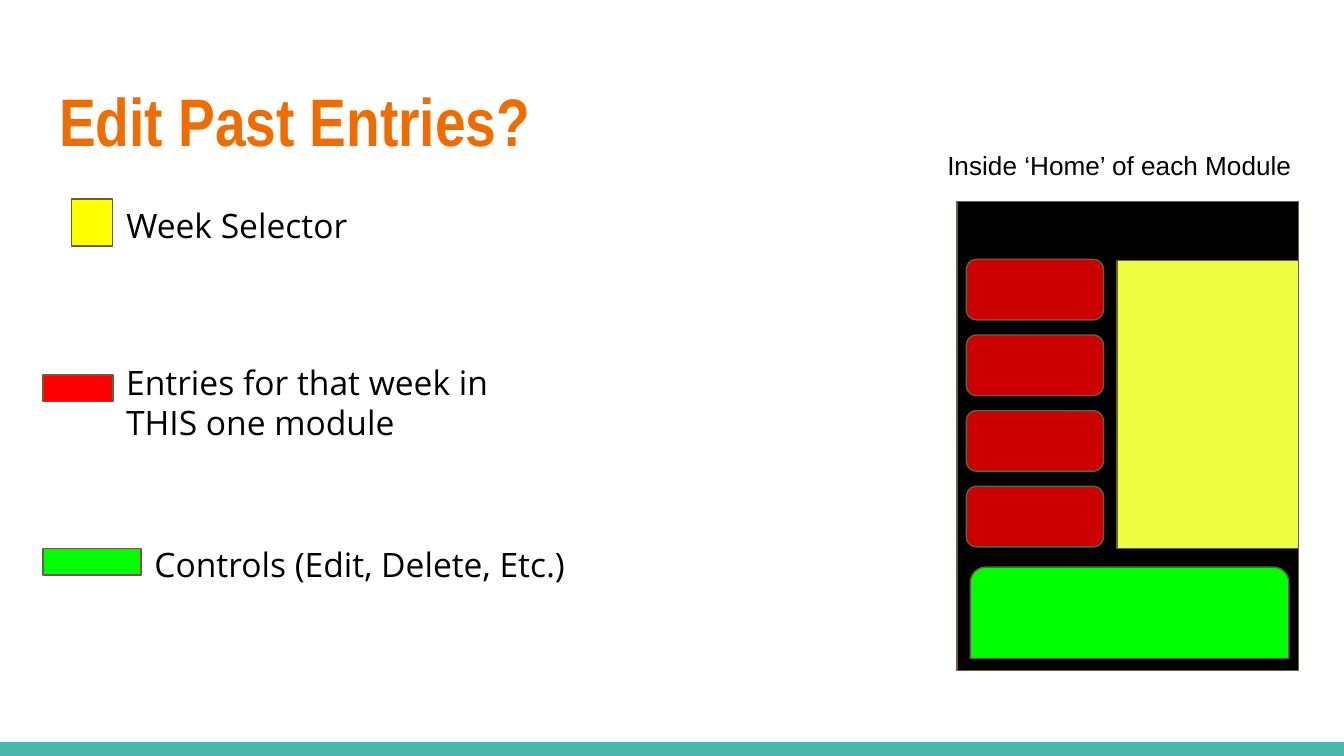
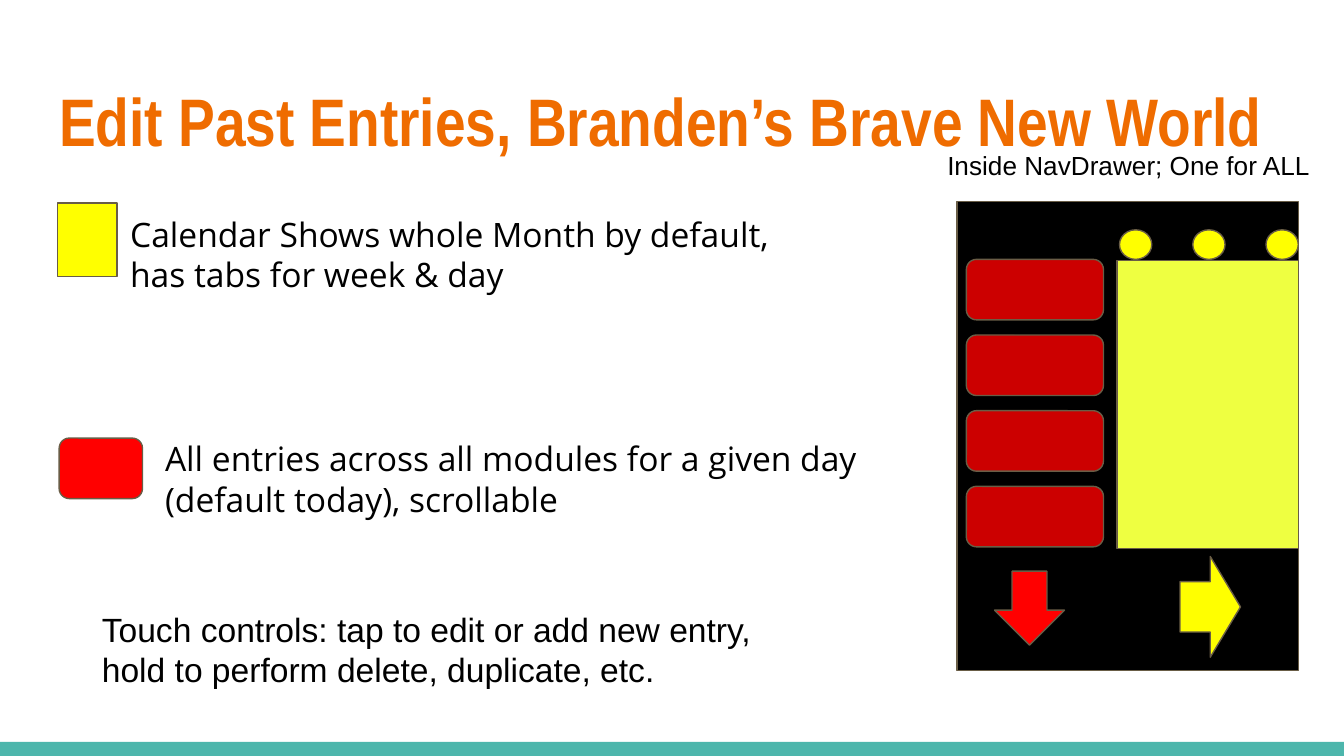
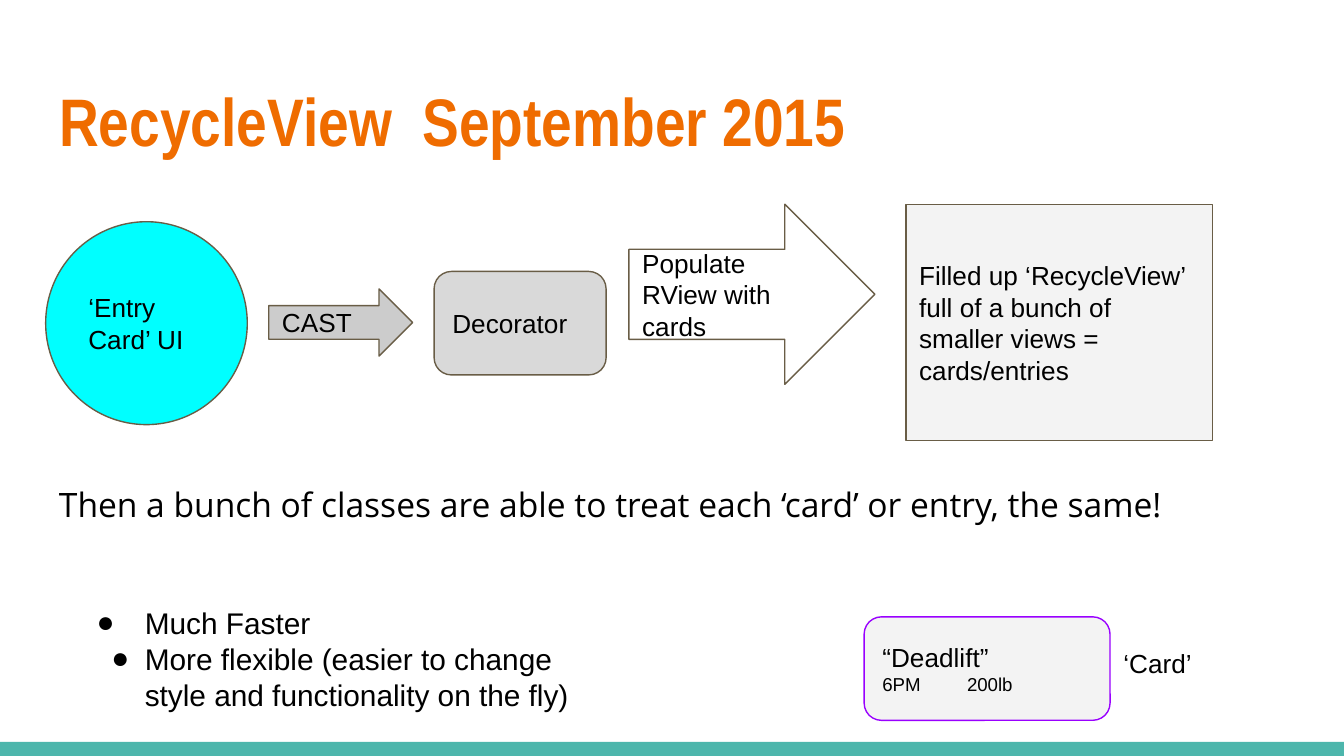
"""Build three slides on editing past entries and the RecycleView."""

from dataclasses import dataclass
from typing import Optional

import lxml.etree
import pptx
import pptx.dml.color
import pptx.enum.shapes
import pptx.enum.text
import pptx.oxml.ns
import pptx.presentation
import pptx.shapes.autoshape
import pptx.slide
import pptx.text.text
import pptx.util

MSO = pptx.enum.shapes.MSO_SHAPE
ANCHOR = pptx.enum.text.MSO_ANCHOR
COLUMNS, ROWS = 100, 56.25
CELL = 0.1


@dataclass(frozen=True)
class Theme:
    """Colours, fonts and type sizes of the deck."""

    title: str = "EF6C00"
    band: str = "4DB6AC"
    ink: str = "000000"
    outline: str = "695D46"
    card_outline: str = "9900FF"
    screen: str = "000000"
    calendar: str = "EEFF41"
    entry: str = "CC0000"
    yellow: str = "FFFF00"
    red: str = "FF0000"
    green: str = "00FF00"
    cyan: str = "00FFFF"
    white: str = "FFFFFF"
    pale: str = "F3F3F3"
    light: str = "D9D9D9"
    grey: str = "CCCCCC"
    title_font: str = "Arial Narrow"
    body_font: str = "Open Sans"
    font: str = "Arial"
    title_size: int = 36
    body_size: int = 18
    list_size: int = 16
    size: int = 14
    small_size: int = 10
    line_width: float = 0.75


T = Theme()


@dataclass(frozen=True)
class Area:
    """A rectangle in grid columns and rows."""

    x: float
    y: float
    w: float
    h: float


@dataclass(frozen=True)
class Box:
    """A filled preset shape with optional text."""

    kind: MSO
    area: Area
    fill: str
    text: str = ""
    line: Optional[str] = T.outline
    rotation: float = 0


@dataclass(frozen=True)
class Label:
    """A free text box."""

    area: Area
    text: str
    font: str = T.body_font
    size: float = T.body_size


TITLE = Area(3.4, 4.9, 93.2, 7.7)
BODY = Area(3.4, 13.8, 93.2, 36.1)
BAND = Area(0, 55.2, COLUMNS, 1.05)
CAPTION = Area(69.5, 10.1, 32, 5.5)


def grid(n: float) -> pptx.util.Length:
    """Turn a number of grid cells into a length."""
    return pptx.util.Inches(n * CELL)


def rgb(color: str) -> pptx.dml.color.RGBColor:
    """Turn a hex string into a colour."""
    return pptx.dml.color.RGBColor.from_string(color)


def frame(tf: pptx.text.text.TextFrame, anchor: ANCHOR = ANCHOR.TOP) -> None:
    """Give a text frame the shared margins, wrapping and anchor."""
    tf.margin_left = tf.margin_right = tf.margin_top = tf.margin_bottom = grid(1)
    tf.auto_size = pptx.enum.text.MSO_AUTO_SIZE.NONE
    tf.word_wrap = True
    tf.vertical_anchor = anchor


def write(tf: pptx.text.text.TextFrame, text: str, *, font: str = T.font,
          size: float = T.size, color: str = T.ink, bold: bool = False,
          spacing: float = 1, after: float = 0) -> pptx.text.text._Paragraph:
    """Add one formatted paragraph to a text frame."""
    p = tf.add_paragraph() if tf.paragraphs[0].runs else tf.paragraphs[0]
    p.alignment = pptx.enum.text.PP_ALIGN.LEFT
    p.line_spacing = spacing
    p.space_before, p.space_after = pptx.util.Pt(0), pptx.util.Pt(after)
    r = p.add_run()
    r.text = text
    r.font.name, r.font.size, r.font.bold = font, pptx.util.Pt(size), bold
    r.font.color.rgb = rgb(color)
    return p


def add_child(parent: lxml.etree.ElementBase, tag: str, **attrs: str) -> lxml.etree.ElementBase:
    """Append a DrawingML element."""
    return lxml.etree.SubElement(parent, pptx.oxml.ns.qn(tag), attrs)


def bullet(p: pptx.text.text._Paragraph, hang: float) -> None:
    """Give a paragraph a round bullet that hangs by some columns."""
    pPr = p._p.get_or_add_pPr()
    pPr.set("marL", str(grid(5)))
    pPr.set("indent", str(-grid(hang)))
    add_child(add_child(pPr, "a:buClr"), "a:srgbClr", val=T.ink)
    add_child(pPr, "a:buFont", typeface=T.font)
    add_child(pPr, "a:buChar", char="●")


def tab_stop(p: pptx.text.text._Paragraph, at: float) -> None:
    """Set a left tab stop at a column of the text."""
    tabs = add_child(p._p.get_or_add_pPr(), "a:tabLst")
    add_child(tabs, "a:tab", pos=str(grid(at)), algn="l")


def corners(a: Area) -> tuple[pptx.util.Length, ...]:
    """Return left, top, width and height of an area."""
    return grid(a.x), grid(a.y), grid(a.w), grid(a.h)


def add_box(s: pptx.slide.Slide, box: Box) -> pptx.shapes.autoshape.Shape:
    """Draw a filled shape."""
    sp = s.shapes.add_shape(box.kind, *corners(box.area))
    sp.shadow.inherit = False
    sp.rotation = box.rotation
    sp.fill.solid()
    sp.fill.fore_color.rgb = rgb(box.fill)
    if box.line:
        sp.line.color.rgb = rgb(box.line)
        sp.line.width = pptx.util.Pt(T.line_width)
    else:
        sp.line.fill.background()
    frame(sp.text_frame, ANCHOR.MIDDLE)
    if box.text:
        write(sp.text_frame, box.text)
    return sp


def add_area(s: pptx.slide.Slide, area: Area) -> pptx.text.text.TextFrame:
    """Add an empty text box and return its frame."""
    tf = s.shapes.add_textbox(*corners(area)).text_frame
    frame(tf)
    return tf


def add_label(s: pptx.slide.Slide, label: Label) -> None:
    """Draw a text box with one paragraph."""
    write(add_area(s, label.area), label.text, font=label.font, size=label.size)


def place(sp: pptx.shapes.autoshape.Shape, area: Area) -> pptx.text.text.TextFrame:
    """Move a placeholder to an area and return its frame."""
    sp.left, sp.top, sp.width, sp.height = corners(area)
    frame(sp.text_frame)
    return sp.text_frame


def add_slide(prs: pptx.presentation.Presentation, title: str, layout: int = 5) -> pptx.slide.Slide:
    """Add a slide with the shared title style."""
    s = prs.slides.add_slide(prs.slide_layouts[layout])
    write(place(s.shapes.title, TITLE), title, font=T.title_font,
          size=T.title_size, color=T.title, bold=True)
    return s


def add_band(prs: pptx.presentation.Presentation, s: pptx.slide.Slide) -> None:
    """Put the bottom band on the slide master."""
    sp = add_box(s, Box(MSO.RECTANGLE, BAND, T.band, line=None))
    prs.slide_master.shapes.element.append(sp.element)


def add_phone(s: pptx.slide.Slide, caption: str) -> None:
    """Draw the phone screen with calendar, entries and caption."""
    add_box(s, Box(MSO.RECTANGLE, Area(71.2, 15, 25.4, 34.9), T.screen))
    add_box(s, Box(MSO.RECTANGLE, Area(83.1, 19.4, 13.5, 21.4), T.calendar))
    for i in range(4):
        area = Area(71.9, 19.3 + 5.63 * i, 10.2, 4.5)
        add_box(s, Box(MSO.ROUNDED_RECTANGLE, area, T.entry))
    add_label(s, Label(CAPTION, caption, T.font, T.size))


def module_slide(prs: pptx.presentation.Presentation) -> None:
    """Build the slide on editing inside one module."""
    s = add_slide(prs, "Edit Past Entries?", layout=1)
    add_band(prs, s)
    tf = place(s.placeholders[1], BODY)
    bullet(write(tf, "Week Selector", font=T.body_font, size=T.body_size,
                 spacing=1.15, after=16), 2.5)
    add_phone(s, "Inside ‘Home’ of each Module")
    for box in (
        Box(MSO.ROUND_2_SAME_RECTANGLE, Area(72.2, 42.2, 23.7, 6.8), T.green),
        Box(MSO.RECTANGLE, Area(5.3, 14.8, 3.1, 3.5), T.yellow),
        Box(MSO.RECTANGLE, Area(3.2, 27.9, 5.2, 2), T.red),
        Box(MSO.RECTANGLE, Area(3.2, 40.8, 7.3, 2), T.green),
    ):
        add_box(s, box)
    add_label(s, Label(Area(8.4, 25.9, 33.2, 4.5), "Entries for that week in THIS one module"))
    add_label(s, Label(Area(10.5, 39.5, 33.2, 4.5), "Controls (Edit, Delete, Etc.)"))


def calendar_slide(prs: pptx.presentation.Presentation) -> None:
    """Build the slide on editing across all modules."""
    s = add_slide(prs, "Edit Past Entries, Branden’s Brave New World")
    add_phone(s, "Inside NavDrawer; One for ALL")
    for box in (
        Box(MSO.DOWN_ARROW, Area(74, 42.5, 5.2, 5.5), T.red),
        Box(MSO.DOWN_ARROW, Area(86.3, 42.9, 7.5, 4.5), T.yellow, rotation=270),
        Box(MSO.RECTANGLE, Area(4.3, 15.1, 4.4, 5.5), T.yellow),
        Box(MSO.ROUNDED_RECTANGLE, Area(4.4, 32.6, 6.2, 4.5), T.red),
    ):
        add_box(s, box)
    for i in range(3):
        add_box(s, Box(MSO.OVAL, Area(83.3 + 5.45 * i, 17.1, 2.4, 2.2), T.yellow))
    for label in (
        Label(Area(8.7, 14.9, 53, 6.5),
              "Calendar Shows whole Month by default, has tabs for week & day"),
        Label(Area(11.3, 31.6, 53.7, 6.5),
              "All entries across all modules for a given day (default today), scrollable"),
        Label(Area(6.6, 44.3, 53.7, 5.5),
              "Touch controls: tap to edit or add new entry, "
              "hold to perform delete, duplicate, etc.", T.font),
    ):
        add_label(s, label)


def recycle_slide(prs: pptx.presentation.Presentation) -> None:
    """Build the slide on the flow from card to RecycleView."""
    s = add_slide(prs, "RecycleView  September 2015")
    for box in (
        Box(MSO.OVAL, Area(3.4, 16.5, 15, 15.1), T.cyan, "‘Entry Card’ UI"),
        Box(MSO.RIGHT_ARROW, Area(20, 21.5, 10.7, 5), T.grey, "CAST"),
        Box(MSO.ROUNDED_RECTANGLE, Area(32.3, 20.2, 12.8, 7.7), T.light, "Decorator"),
        Box(MSO.RIGHT_ARROW, Area(46.8, 15.2, 18.3, 13.4), T.white, "Populate RView with cards"),
        Box(MSO.RECTANGLE, Area(67.4, 15.2, 22.8, 17.6), T.pale,
            "Filled up ‘RecycleView’ full of a bunch of smaller views = cards/entries"),
    ):
        add_box(s, box)
    add_label(s, Label(Area(3.4, 35, 90.2, 11.8),
                       "Then a bunch of classes are able to treat each ‘card’ or entry, the same!"))
    tf = add_area(s, Area(4.8, 44, 42, 8.3))
    for text, hang in (
        ("Much Faster", 3.6),
        ("More flexible (easier to change style and functionality on the fly)", 2.5),
    ):
        bullet(write(tf, text, size=T.list_size), hang)
    card = add_box(s, Box(MSO.ROUNDED_RECTANGLE, Area(64.3, 45.9, 18.3, 7.7), T.pale,
                          "“Deadlift”", T.card_outline))
    tab_stop(write(card.text_frame, "6PM\t200lb", size=T.small_size), 6.3)
    add_label(s, Label(Area(82.6, 47.2, 12.8, 2), "‘Card’", T.font, T.size))


def main() -> None:
    """Build and save the deck."""
    prs = pptx.Presentation()
    prs.slide_width, prs.slide_height = grid(COLUMNS), grid(ROWS)
    module_slide(prs)
    calendar_slide(prs)
    recycle_slide(prs)
    prs.save("out.pptx")


if __name__ == "__main__":
    main()
